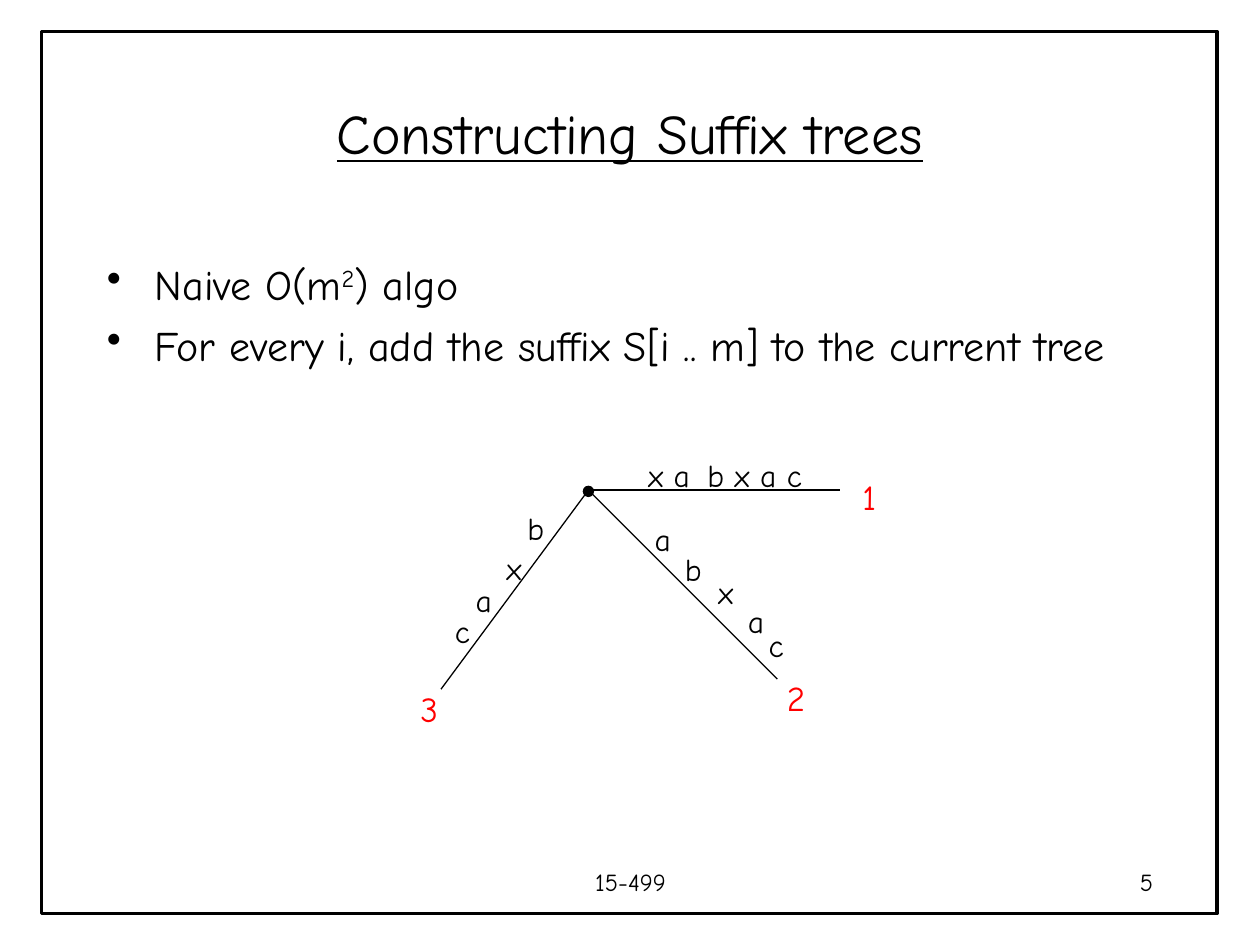
from dataclasses import dataclass

from lxml.etree import SubElement
from pptx import Presentation
from pptx.dml.color import RGBColor
from pptx.enum.shapes import MSO_CONNECTOR as CONN, MSO_SHAPE as SHAPE
from pptx.enum.text import MSO_ANCHOR as ANCHOR, MSO_AUTO_SIZE as FIT, PP_ALIGN as ALIGN
from pptx.oxml.ns import qn
from pptx.util import Inches, Pt


@dataclass(frozen=True)
class Theme:
    """Fonts, colours and type sizes of the slide."""
    font: str = "Comic Neue"
    ink: RGBColor = RGBColor(0, 0, 0)
    accent: RGBColor = RGBColor(255, 0, 0)
    title: int = 32
    body: int = 24
    leaf: int = 20
    edge: int = 18
    footer: int = 14
    frame: float = 2
    line: float = 0.75


T = Theme()

BULLETS = [
    [("Naive O(m", False), ("2", True), (") algo", False)],
    [("For every i, add the suffix S[i .. m] to the current tree", False)],
]

BRANCHES = [
    ("3", (-1.17, 1.58), (-1.27, 1.73),
     [("b", -0.42, 0.3), ("x", -0.59, 0.62), ("a", -0.83, 0.87), ("c", -1, 1.12)]),
    ("2", (1.5, 1.5), (1.64, 1.65),
     [("a", 0.59, 0.39), ("b", 0.83, 0.63), ("x", 1.09, 0.81), ("a", 1.33, 1.04),
      ("c", 1.49, 1.23)]),
    ("1", (2, 0), (2.23, 0.05), [("x a", 0.64, -0.12), ("b x a c", 1.32, -0.12)]),
]


def add_run(p, text, size, color=T.ink, underline=None, raised=False):
    """Append a formatted run to a paragraph."""
    r = p.add_run()
    r.text = text
    r.font.name, r.font.size = T.font, Pt(size)
    r.font.color.rgb = color
    r.font.underline = underline
    if raised:
        r.font._element.set("baseline", "30000")


def add_text(shapes, box, text, size, color=T.ink, align=ALIGN.CENTER, wrap=True):
    """Add a one-paragraph text box."""
    tf = shapes.add_textbox(*map(Inches, box)).text_frame
    tf.word_wrap = wrap
    tf.auto_size = FIT.NONE if wrap else FIT.SHAPE_TO_FIT_TEXT
    p = tf.paragraphs[0]
    p.alignment = align
    add_run(p, text, size, color)


def add_label(shapes, x, y, text, size, color=T.ink):
    """Add a tree label centred on a point."""
    w, h = 0.22 + 0.105 * len(text), 0.1 + size / 60
    add_text(shapes, (x - w / 2, y - h / 2, w, h), text, size, color, wrap=False)


def add_frame(s, box):
    """Draw the border of the slide."""
    sp = s.shapes.add_shape(SHAPE.RECTANGLE, *map(Inches, box))
    sp.shadow.inherit = False
    sp.fill.background()
    sp.line.color.rgb, sp.line.width = T.ink, Pt(T.frame)


def add_title(s, box, text):
    """Place and format the title placeholder."""
    sp = s.shapes.title
    sp.left, sp.top, sp.width, sp.height = map(Inches, box)
    tf = sp.text_frame
    tf.vertical_anchor, tf.auto_size = ANCHOR.MIDDLE, FIT.NONE
    p = tf.paragraphs[0]
    p.alignment = ALIGN.CENTER
    add_run(p, text, T.title, underline=True)


def add_bullets(s, box, items):
    """Fill a box with bulleted paragraphs."""
    tf = s.shapes.add_textbox(*map(Inches, box)).text_frame
    tf.word_wrap = True
    for i, parts in enumerate(items):
        p = tf.add_paragraph() if i else tf.paragraphs[0]
        p.space_before = Pt(6)
        pPr = p._p.get_or_add_pPr()
        pPr.set("marL", str(Inches(0.38)))
        pPr.set("indent", str(Inches(-0.38)))
        SubElement(pPr, qn("a:buChar"), char="•")
        for text, raised in parts:
            add_run(p, text, T.body, raised=raised)


def add_branch(s, x, y, leaf, end, leaf_at, labels):
    """Draw one edge from the root with its letters and leaf number."""
    shapes = s.shapes.add_group_shape().shapes
    ends = (x, y, x + end[0], y + end[1])
    line = shapes.add_connector(CONN.STRAIGHT, *map(Inches, ends))
    line.line.color.rgb, line.line.width = T.ink, Pt(T.line)
    SubElement(line._element.spPr, qn("a:effectLst"))
    for text, dx, dy in labels:
        add_label(shapes, x + dx, y + dy, text, T.edge)
    add_label(shapes, x + leaf_at[0], y + leaf_at[1], leaf, T.leaf, T.accent)


def add_tree(s, box):
    """Draw the suffix tree around its root."""
    x, y, dot = box[0] + 1.44, box[1] + 0.32, 0.08
    for branch in BRANCHES:
        add_branch(s, x, y, *branch)
    root = s.shapes.add_shape(
        SHAPE.OVAL, *map(Inches, (x - dot / 2, y + 0.01 - dot / 2, dot, dot)))
    root.shadow.inherit = False
    root.fill.solid()
    root.fill.fore_color.rgb = root.line.color.rgb = T.ink
    root.line.width = Pt(T.line)


def add_footer(s, box, course, number):
    """Write the course in the middle and the page number at the right."""
    x, y, w, h = box
    add_text(s.shapes, (x, y, 3.17, h), course, T.footer)
    add_text(s.shapes, (x + w - 2.08, y, 2.08, h), number, T.footer, align=ALIGN.RIGHT)


def main():
    """Build and save the slide."""
    prs = Presentation()
    prs.slide_width, prs.slide_height = Inches(10), Inches(7.5)
    s = prs.slides.add_slide(prs.slide_layouts[5])
    add_frame(s, (0.33, 0.25, 9.33, 7))
    add_title(s, (0.75, 0.67, 8.5, 0.75), "Constructing Suffix trees")
    add_bullets(s, (0.75, 2, 8.5, 1.5), BULLETS)
    add_tree(s, (3.23, 3.57, 3.82, 2.27))
    add_footer(s, (3.42, 6.83, 5.83, 0.5), "15-499", "5")
    prs.save("out.pptx")


if __name__ == "__main__":
    main()
